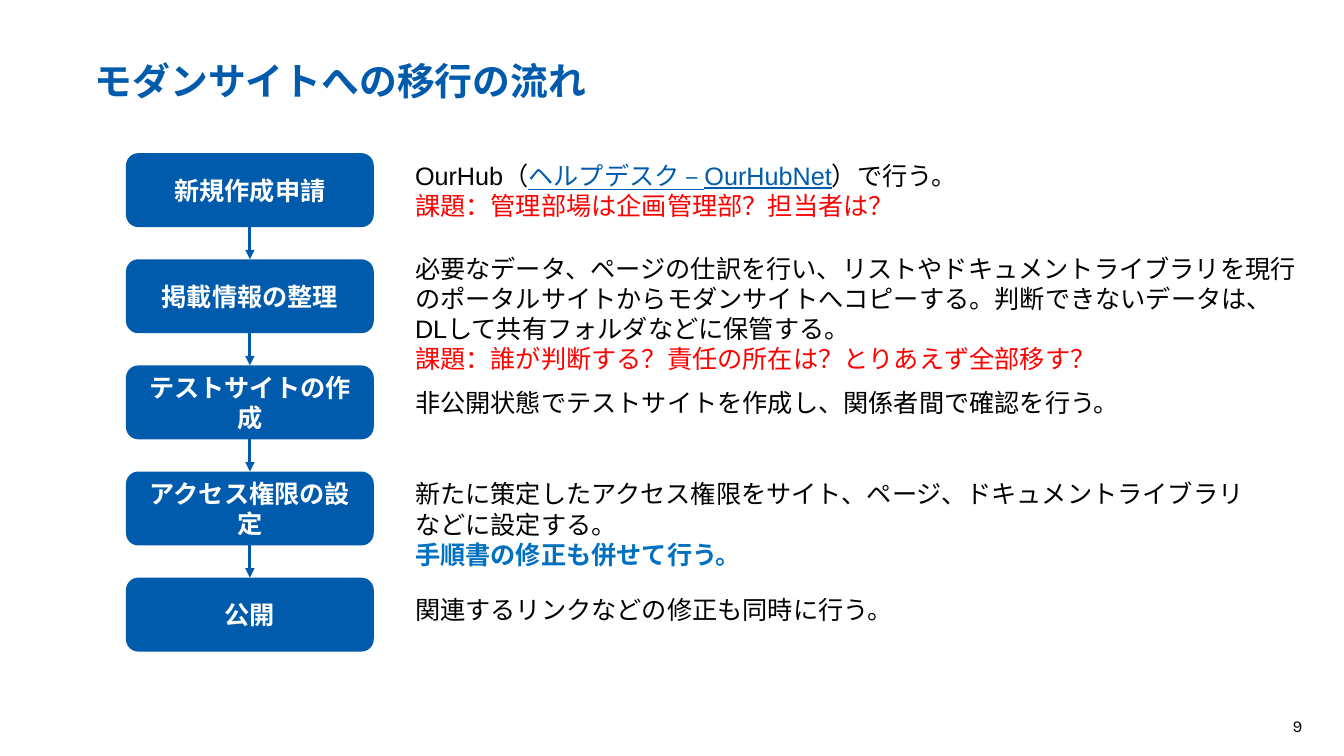
import pptx
import pptx.dml.color
import pptx.enum.shapes
import pptx.enum.text
import pptx.oxml
import pptx.oxml.ns
import pptx.util
from pptx.util import Pt

TITLE = "モダンサイトへの移行の流れ"
PAGE_NUMBER = "9"

# Each step: label, note top, note width, note paragraphs of (text, style) runs
STEPS = [
    ("新規作成申請", 110.9, 480, [
        [("OurHub（", "body"), ("ヘルプデスク – OurHubNet", "link"), ("）で行う。", "body")],
        [("課題：管理部場は企画管理部？担当者は？", "issue")],
    ]),
    ("掲載情報の整理", 177.1, 644.4, [
        [("必要なデータ、ページの仕訳を行い、リストやドキュメントライブラリを現行の"
          "ポータルサイトからモダンサイトへコピーする。判断できないデータは、"
          "DLして共有フォルダなどに保管する。", "body")],
        [("課題：誰が判断する？責任の所在は？とりあえず全部移す？", "issue")],
    ]),
    ("テストサイトの作成", 272.9, 644.4, [
        [("非公開状態でテストサイトを作成し、関係者間で確認を行う。", "body")],
    ]),
    ("アクセス権限の設定", 338.4, 619.2, [
        [("新たに策定したアクセス権限をサイト、ページ、ドキュメントライブラリ"
          "などに設定する。", "body")],
        [("手順書の修正も併せて行う。", "action")],
    ]),
    ("公開", 421.2, 619.2, [
        [("関連するリンクなどの修正も同時に行う。", "body")],
    ]),
]

THEME = {
    "brand": "005BAC", "on_brand": "FFFFFF",
    "body": "000000", "link": "005BAC", "issue": "FF0000", "action": "0070C0",
    "heading_font": "Karla", "note_font": "Arial",
    "title_size": 27, "text_size": 18, "page_size": 12,
}

STEP_LEFT, STEP_TOP, STEP_WIDTH, STEP_HEIGHT = 90, 109.4, 177, 52.8
STEP_PITCH = 75.8
NOTE_LEFT = 289.4


def theme_color(key):
    return pptx.dml.color.RGBColor.from_string(THEME[key])


def set_font(font, family, size, color=None, bold=None):
    font.name = THEME[family]
    font.size = Pt(THEME[size])
    font.bold = bold
    if color:
        font.color.rgb = theme_color(color)


def add_text_frame(slide, left, top, width, height, side_inset=7.2, top_inset=3.6):
    frame = slide.shapes.add_textbox(Pt(left), Pt(top), Pt(width), Pt(height)).text_frame
    frame.word_wrap = True
    frame.margin_left = frame.margin_right = Pt(side_inset)
    frame.margin_top = frame.margin_bottom = Pt(top_inset)
    return frame


def add_step(slide, label, top):
    step = slide.shapes.add_shape(
        pptx.enum.shapes.MSO_SHAPE.FLOWCHART_ALTERNATE_PROCESS,
        Pt(STEP_LEFT), Pt(top), Pt(STEP_WIDTH), Pt(STEP_HEIGHT))
    step.shadow.inherit = False
    step.fill.solid()
    step.fill.fore_color.rgb = theme_color("brand")
    step.line.fill.background()
    step.text_frame.word_wrap = True
    step.text_frame.vertical_anchor = pptx.enum.text.MSO_ANCHOR.MIDDLE
    paragraph = step.text_frame.paragraphs[0]
    paragraph.text = label
    paragraph.alignment = pptx.enum.text.PP_ALIGN.CENTER
    set_font(paragraph.font, "heading_font", "text_size", "on_brand", True)
    return step


def add_arrow(slide, upper, lower):
    """Join the bottom of one step to the top of the next."""
    arrow = slide.shapes.add_connector(
        pptx.enum.shapes.MSO_CONNECTOR.STRAIGHT, 0, 0, 0, 0)
    arrow.begin_connect(upper, 2)
    arrow.end_connect(lower, 0)
    arrow.line.color.rgb = theme_color("brand")
    arrow.line.width = Pt(2.25)
    head = pptx.oxml.parse_xml(
        f'<a:tailEnd {pptx.oxml.ns.nsdecls("a")} type="triangle"/>')
    arrow.line._get_or_add_ln().append(head)
    arrow._element.spPr.append(
        pptx.oxml.parse_xml(f'<a:effectLst {pptx.oxml.ns.nsdecls("a")}/>'))


def add_note(slide, top, width, paragraphs):
    line_height = 21.6
    frame = add_text_frame(slide, NOTE_LEFT, top, width,
                           len(paragraphs) * line_height + 7.2)
    for index, runs in enumerate(paragraphs):
        paragraph = frame.add_paragraph() if index else frame.paragraphs[0]
        set_font(paragraph.font, "note_font", "text_size")
        for text, style in runs:
            run = paragraph.add_run()
            run.text = text
            run.font.color.rgb = theme_color(style)
            if style == "link":
                run.font.underline = True
            if style == "action":
                run.font.bold = True


def main():
    deck = pptx.Presentation()
    deck.slide_width, deck.slide_height = Pt(960), Pt(540)
    slide = deck.slides.add_slide(deck.slide_layouts[6])

    title = add_text_frame(slide, 67.7, 34.6, 753.8, 37.4, 0, 0).paragraphs[0]
    title.text = TITLE
    title.line_spacing = 1.2
    set_font(title.font, "heading_font", "title_size", "brand", True)

    page = add_text_frame(slide, 908.6, 511.2, 28.8, 14.4, 7.2, 0).paragraphs[0]
    page.text = PAGE_NUMBER
    page.alignment = pptx.enum.text.PP_ALIGN.RIGHT
    set_font(page.font, "heading_font", "page_size", "body")

    previous = None
    for index, (label, note_top, note_width, note) in enumerate(STEPS):
        step = add_step(slide, label, STEP_TOP + index * STEP_PITCH)
        if previous is not None:
            add_arrow(slide, previous, step)
        add_note(slide, note_top, note_width, note)
        previous = step

    deck.save("out.pptx")


if __name__ == "__main__":
    main()
